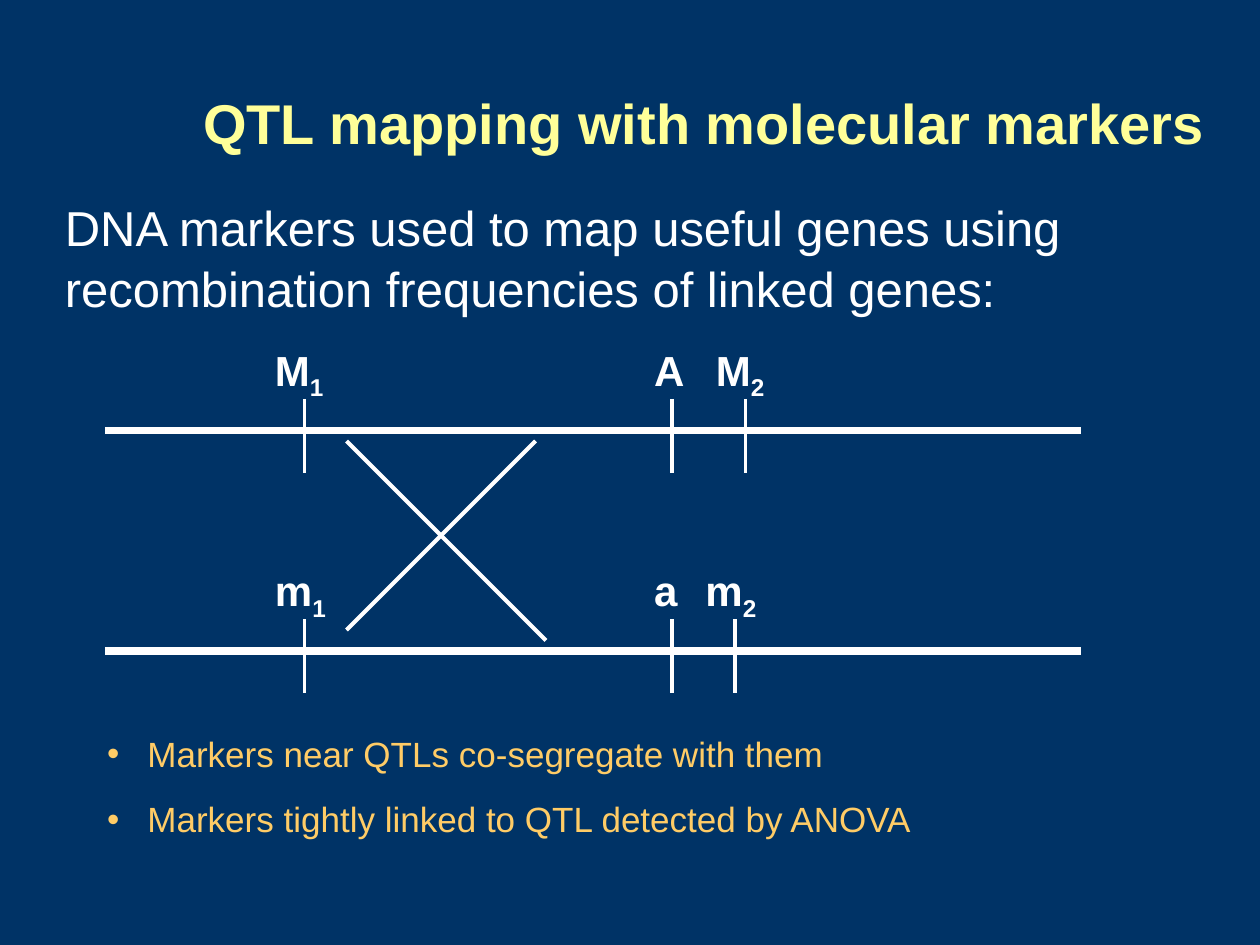
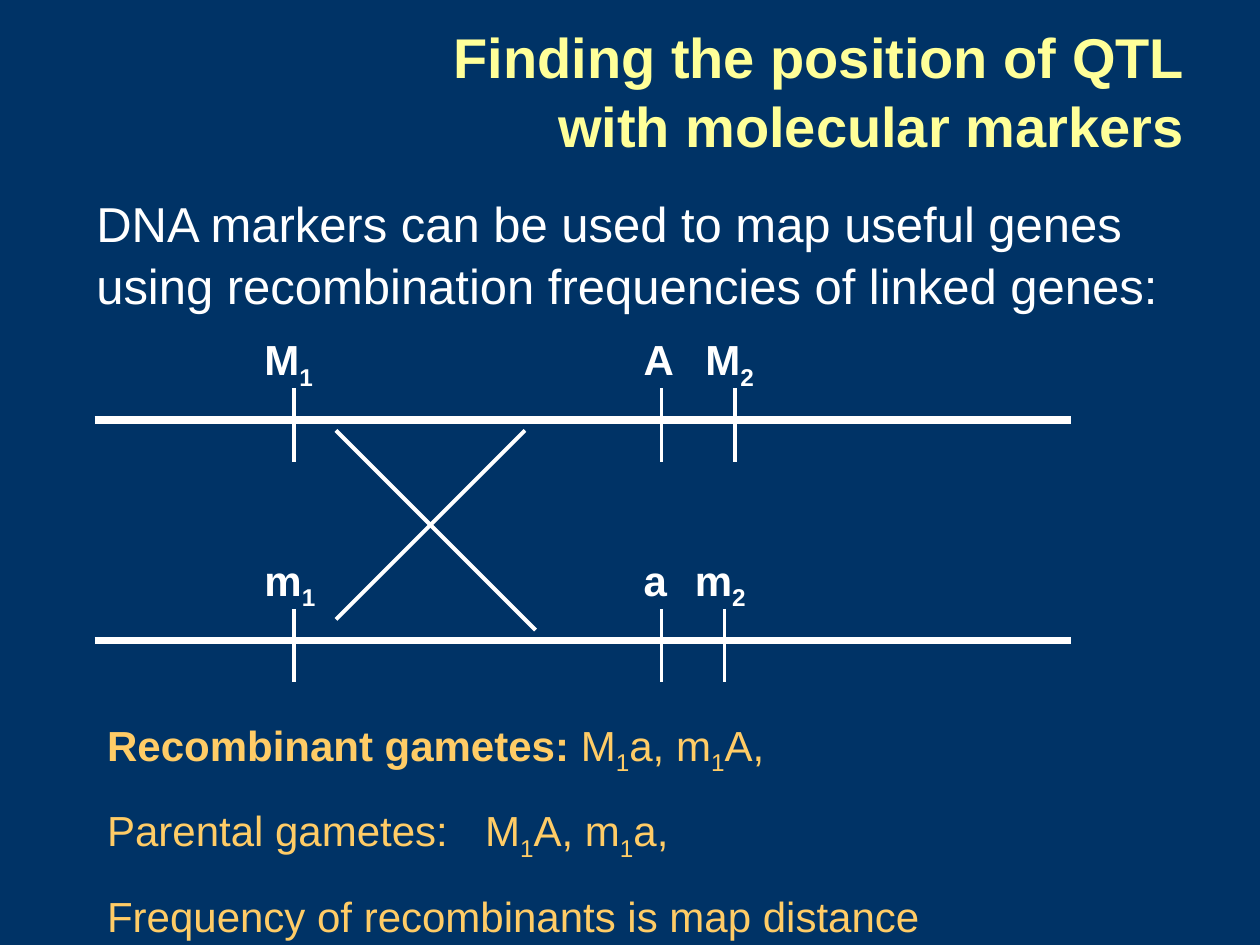
from dataclasses import dataclass
from typing import NamedTuple

from lxml.etree import SubElement
from pptx import Presentation
from pptx.dml.color import RGBColor
from pptx.enum.shapes import MSO_CONNECTOR as Connector
from pptx.enum.text import MSO_ANCHOR as Anchor, MSO_AUTO_SIZE as AutoSize, PP_ALIGN as Align
from pptx.oxml.ns import qn
from pptx.util import Pt

NAVY, WHITE, YELLOW, ORANGE = "003366", "FFFFFF", "FFFF99", "FFCC66"
FONT = "Arial"
LINE_SPACING = 1.04
TITLE_AND_CONTENT = 1

CHROMOSOME_LENGTH = 558
CHROMOSOME_GAP = 126
THICK, THIN = 4.5, 2.25


class Box(NamedTuple):
    left: float
    top: float
    width: float
    height: float


class Locus(NamedTuple):
    """A marker or gene; the name shifts right of its usual place by name_shift."""
    name: str
    position: float
    name_shift: float = 0


class Finding(NamedTuple):
    text: str
    bold_lead: str = ""


@dataclass(frozen=True)
class ListStyle:
    size: float
    space_before: float
    hanging: float = 0
    tab: float = 0


@dataclass(frozen=True)
class MappingSlide:
    title: str
    title_box: Box
    intro: str
    intro_box: Box
    diagram_origin: tuple[float, float]
    findings: tuple[Finding, ...]
    list_box: Box
    list_style: ListStyle


CHROMOSOMES = (
    (Locus("M_1", 114), Locus("A", 324, 6.67), Locus("M_2", 366)),
    (Locus("m_1", 114), Locus("a", 324, 6.67), Locus("m_2", 360)),
)
CROSSOVER = ((138, 6, 252, 120), (138, 114, 246, 6))

SLIDES = (
    MappingSlide(
        title="QTL mapping with molecular markers",
        title_box=Box(84, 24, 612, 90),
        intro="DNA markers used to map useful genes using "
              "recombination frequencies of linked genes:",
        intro_box=Box(30, 108, 660, 75),
        diagram_origin=(60, 246),
        findings=(Finding("Markers near QTLs co-segregate with them"),
                  Finding("Markers tightly linked to QTL detected by ANOVA")),
        list_box=Box(54, 414, 618, 68),
        list_style=ListStyle(size=20, space_before=12.5, hanging=23),
    ),
    MappingSlide(
        title="Finding the position of QTL with molecular markers",
        title_box=Box(204, 6, 480, 90),
        intro="DNA markers can be used to map useful genes "
              "using recombination frequencies of linked genes:",
        intro_box=Box(48, 106, 654, 75),
        diagram_origin=(54, 240),
        findings=(Finding("M_1a, m_1A,", bold_lead="Recombinant gametes: "),
                  Finding("Parental gametes:\tM_1A, m_1a,"),
                  Finding("Frequency of recombinants is map distance")),
        list_box=Box(54, 406, 582, 132),
        list_style=ListStyle(size=24, space_before=15, tab=243),
    ),
)


def set_values(target, values: dict) -> None:
    for name, value in values.items():
        setattr(target, name, value)


def rgb(color: str) -> RGBColor:
    return RGBColor.from_string(color)


def place(shape, box: Box) -> None:
    left, top, width, height = map(Pt, box)
    set_values(shape, {"left": left, "top": top, "width": width, "height": height})


def prepare_frame(shape, anchor=Anchor.TOP):
    frame = shape.text_frame
    set_values(frame, {
        "word_wrap": True, "auto_size": AutoSize.NONE, "vertical_anchor": anchor,
        "margin_left": Pt(7.2), "margin_right": Pt(7.2),
        "margin_top": Pt(3.6), "margin_bottom": Pt(3.6),
    })
    return frame


def add_run(paragraph, text: str, size: float, color: str, bold: bool,
            subscript: bool = False) -> None:
    run = paragraph.add_run()
    run.text = text
    set_values(run.font, {"name": FONT, "size": Pt(size), "bold": bold})
    run.font.color.rgb = rgb(color)
    if subscript:
        run._r.get_or_add_rPr().set("baseline", "-25000")


def write(paragraph, text: str, size: float, color: str, bold: bool = False) -> None:
    """Write text in which each underscore lowers the one character after it."""
    first, *rest = text.split("_")
    add_run(paragraph, first, size, color, bold)
    for piece in rest:
        add_run(paragraph, piece[0], size, color, bold, subscript=True)
        if piece[1:]:
            add_run(paragraph, piece[1:], size, color, bold)


def format_paragraph(paragraph, align=Align.LEFT, space_before: float = 0) -> None:
    set_values(paragraph, {
        "alignment": align, "line_spacing": LINE_SPACING,
        "space_before": Pt(space_before), "space_after": Pt(0),
    })


def add_text(shapes, box: Box, text: str, size: float, bold: bool = False) -> None:
    shape = shapes.add_textbox(*map(Pt, box))
    paragraph = prepare_frame(shape).paragraphs[0]
    format_paragraph(paragraph)
    write(paragraph, text, size, WHITE, bold)


def add_line(shapes, x1: float, y1: float, x2: float, y2: float, width: float) -> None:
    line = shapes.add_connector(Connector.STRAIGHT, *map(Pt, (x1, y1, x2, y2)))
    line.line.color.rgb = rgb(WHITE)
    line.line.width = Pt(width)
    SubElement(line._element.spPr, qn("a:effectLst"))


def add_chromosome(shapes, left: float, y: float, loci: tuple[Locus, ...]) -> None:
    add_line(shapes, left, y, left + CHROMOSOME_LENGTH, y, THICK)
    for locus in loci:
        x = left + locus.position
        add_line(shapes, x, y - 18, x, y + 24, THIN)
        name_box = Box(x - 24 + locus.name_shift, y - 54, 48, 36)
        add_text(shapes, name_box, locus.name, 24, bold=True)


def add_linkage_diagram(slide, left: float, top: float) -> None:
    shapes = slide.shapes.add_group_shape().shapes
    for index, loci in enumerate(CHROMOSOMES):
        add_chromosome(shapes, left, top + index * CHROMOSOME_GAP, loci)
    for x1, y1, x2, y2 in CROSSOVER:
        add_line(shapes, left + x1, top + y1, left + x2, top + y2, THIN)


def format_list_item(paragraph, style: ListStyle) -> None:
    """Set indent, bullet and tab stop, in the order the schema asks for."""
    format_paragraph(paragraph, space_before=style.space_before)
    properties = paragraph._p.get_or_add_pPr()
    properties.set("marL", str(Pt(style.hanging)))
    properties.set("indent", str(-Pt(style.hanging)))
    if style.hanging:
        bullet_color = SubElement(properties, qn("a:buClr"))
        SubElement(bullet_color, qn("a:srgbClr"), val=ORANGE)
        SubElement(properties, qn("a:buChar"), char="•")
    else:
        SubElement(properties, qn("a:buNone"))
    if style.tab:
        tabs = SubElement(properties, qn("a:tabLst"))
        SubElement(tabs, qn("a:tab"), pos=str(Pt(style.tab)), algn="l")


def fill_title(shape, text: str, box: Box) -> None:
    place(shape, box)
    paragraph = prepare_frame(shape, Anchor.MIDDLE).paragraphs[0]
    format_paragraph(paragraph, Align.RIGHT)
    write(paragraph, text, 32, YELLOW, bold=True)


def fill_list(shape, findings: tuple[Finding, ...], box: Box, style: ListStyle) -> None:
    place(shape, box)
    frame = prepare_frame(shape)
    for index, finding in enumerate(findings):
        paragraph = frame.add_paragraph() if index else frame.paragraphs[0]
        format_list_item(paragraph, style)
        if finding.bold_lead:
            write(paragraph, finding.bold_lead, style.size, ORANGE, bold=True)
        write(paragraph, finding.text, style.size, ORANGE)


def add_mapping_slide(presentation, content: MappingSlide) -> None:
    slide = presentation.slides.add_slide(presentation.slide_layouts[TITLE_AND_CONTENT])
    fill_title(slide.shapes.title, content.title, content.title_box)
    add_text(slide.shapes, content.intro_box, content.intro, 28)
    add_linkage_diagram(slide, *content.diagram_origin)
    fill_list(slide.placeholders[1], content.findings, content.list_box, content.list_style)


def main() -> None:
    presentation = Presentation()
    set_values(presentation, {"slide_width": Pt(720), "slide_height": Pt(540)})
    background = presentation.slide_master.background.fill
    background.solid()
    background.fore_color.rgb = rgb(NAVY)
    for content in SLIDES:
        add_mapping_slide(presentation, content)
    presentation.save("out.pptx")


if __name__ == "__main__":
    main()
